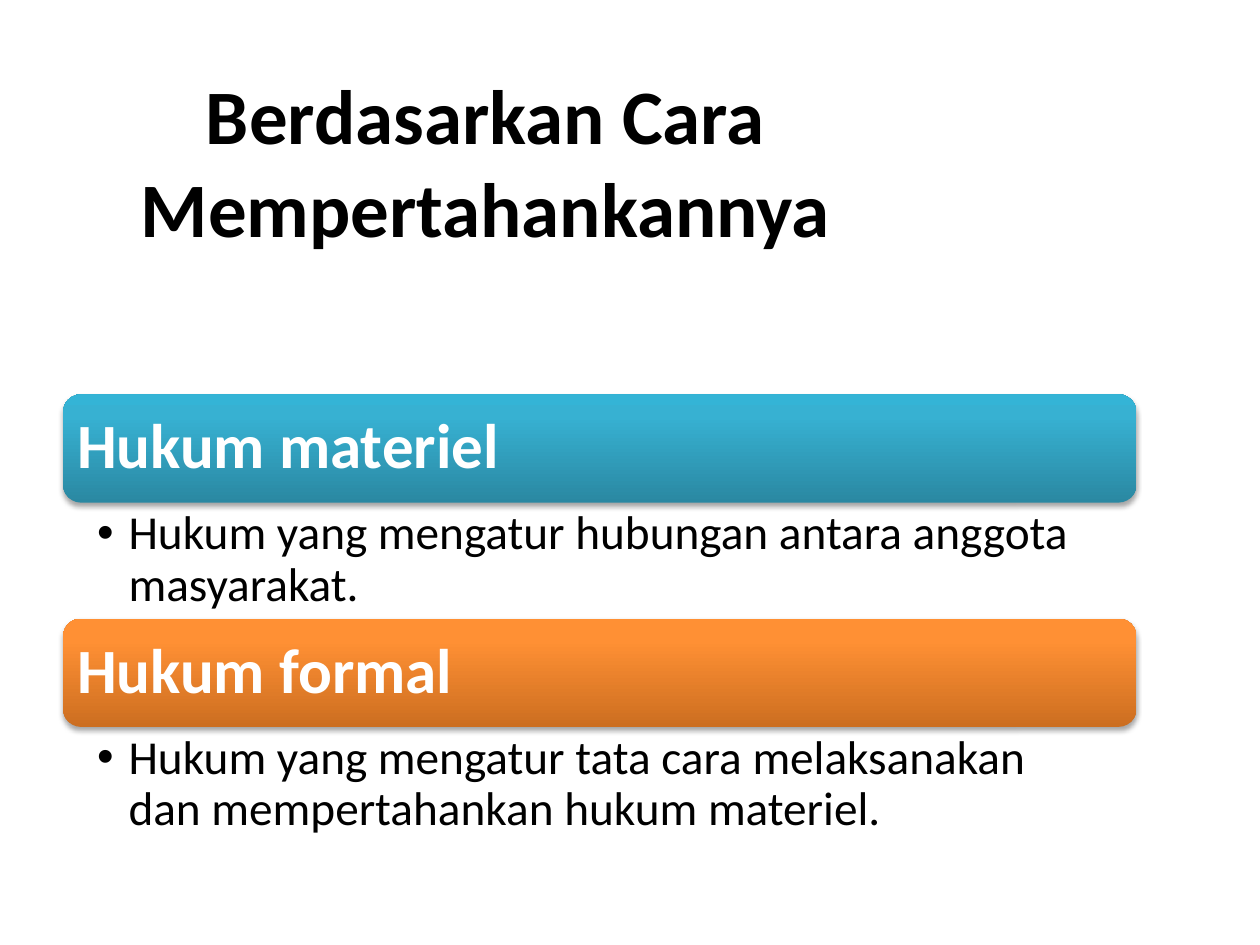
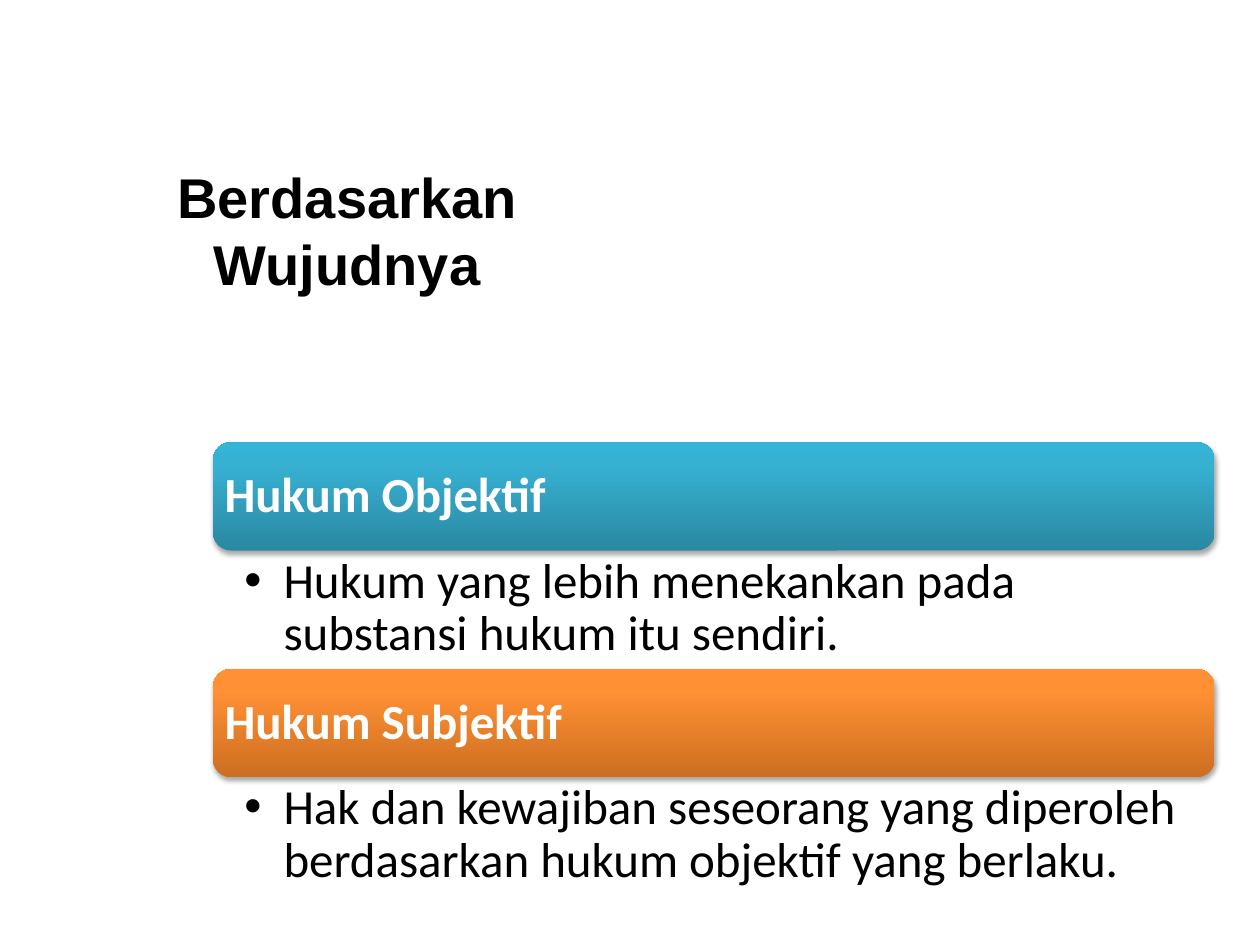
import dataclasses

import lxml.etree
import pptx
import pptx.dml.color
import pptx.enum.dml
import pptx.enum.shapes
import pptx.enum.text
import pptx.oxml.ns
import pptx.util

Inches = pptx.util.Inches
Pt = pptx.util.Pt
qn = pptx.oxml.ns.qn


@dataclasses.dataclass(frozen=True)
class Theme:
    ink: str = "000000"
    heading: str = "FFFFFF"
    shadow: str = "000000"
    # Gradient stops, from the bottom edge of a bar to its top
    teal: tuple = ((0, "2A88A2"), (80, "37B1D2"), (100, "34B4D6"))
    orange: tuple = ((0, "CC6E20"), (80, "FF9034"), (100, "FF9136"))
    font: str = "Calibri"
    alternate_font: str = "Arial"
    large_title: int = 44
    small_title: int = 32
    large_heading: int = 36
    small_heading: int = 28
    large_body: int = 28
    small_body: int = 27
    line_spacing: float = 0.9
    bar_height: float = 0.86


THEME = Theme()


@dataclasses.dataclass(frozen=True)
class ListStyle:
    """Place and type of one list of terms; lengths in inches."""
    left: float
    top: float
    width: float
    heading_size: int
    heading_inset: float
    body_size: int
    body_height: float
    body_insets: tuple
    hanging: float


def add_child(parent, tag, **attributes):
    return lxml.etree.SubElement(parent, qn(tag), attributes)


def place(shape, left, top, width, height):
    shape.left, shape.top = Inches(left), Inches(top)
    shape.width, shape.height = Inches(width), Inches(height)


def set_frame(frame, anchor, insets):
    frame.word_wrap = True
    frame.auto_size = pptx.enum.text.MSO_AUTO_SIZE.NONE
    frame.vertical_anchor = anchor
    (frame.margin_left, frame.margin_top,
     frame.margin_right, frame.margin_bottom) = map(Inches, insets)


def write(paragraph, text, size, color, bold=False, font=THEME.font):
    run = paragraph.add_run()
    run.text = text
    run.font.name = font
    run.font.size = Pt(size)
    run.font.bold = bold
    run.font.color.rgb = pptx.dml.color.RGBColor.from_string(color)


def set_title(slide, text, box, size, font):
    title = slide.shapes.title
    place(title, *box)
    set_frame(title.text_frame, pptx.enum.text.MSO_ANCHOR.MIDDLE,
              (0.1, 0.05, 0.1, 0.05))
    paragraph = title.text_frame.paragraphs[0]
    paragraph.alignment = pptx.enum.text.PP_ALIGN.CENTER
    write(paragraph, text, size, THEME.ink, bold=True, font=font)


def fill_gradient(shape, stops):
    shape.fill.gradient()
    shape.fill.gradient_angle = 90
    stop_list = shape._element.spPr.find(".//" + qn("a:gsLst"))
    stop_list.clear()
    for percent, color in stops:
        stop = add_child(stop_list, "a:gs", pos=str(percent * 1000))
        add_child(stop, "a:srgbClr", val=color)


def add_shadow(shape):
    shape.shadow.inherit = False
    effects = shape._element.spPr.find(qn("a:effectLst"))
    outer = add_child(effects, "a:outerShdw", blurRad=str(Pt(3.1)),
                      dist=str(Pt(1.8)), dir="5400000", rotWithShape="0")
    color = add_child(outer, "a:srgbClr", val=THEME.shadow)
    add_child(color, "a:alpha", val="35000")


def add_heading_bar(slide, text, top, stops, style):
    bar = slide.shapes.add_shape(
        pptx.enum.shapes.MSO_SHAPE.ROUNDED_RECTANGLE, Inches(style.left),
        Inches(top), Inches(style.width), Inches(THEME.bar_height))
    fill_gradient(bar, stops)
    bar.line.fill.background()
    add_shadow(bar)
    set_frame(bar.text_frame, pptx.enum.text.MSO_ANCHOR.MIDDLE,
              (style.heading_inset,) * 4)
    paragraph = bar.text_frame.paragraphs[0]
    paragraph.alignment = pptx.enum.text.PP_ALIGN.LEFT
    paragraph.line_spacing = THEME.line_spacing
    write(paragraph, text, style.heading_size, THEME.heading, bold=True)


def set_description(body, text, top, style):
    place(body, style.left, top, style.width, style.body_height)
    set_frame(body.text_frame, pptx.enum.text.MSO_ANCHOR.TOP, style.body_insets)
    paragraph = body.text_frame.paragraphs[0]
    paragraph.line_spacing = THEME.line_spacing
    paragraph.space_before = Pt(0)
    properties = paragraph._p.get_or_add_pPr()
    properties.set("marL", str(Inches(style.hanging)))
    properties.set("indent", str(-Inches(style.hanging)))
    add_child(properties, "a:buFont", typeface=THEME.alternate_font)
    add_child(properties, "a:buChar", char="•")
    write(paragraph, text, style.body_size, THEME.ink)


def add_terms(slide, terms, style):
    """Stack a coloured heading bar and its description for each term."""
    pitch = THEME.bar_height + style.body_height
    bodies = list(slide.placeholders)[1:]
    bar_colors = (THEME.teal, THEME.orange)
    for row, ((heading, description), body, stops) in enumerate(
            zip(terms, bodies, bar_colors)):
        top = style.top + row * pitch
        add_heading_bar(slide, heading, top, stops, style)
        set_description(body, description, top + THEME.bar_height, style)


def main():
    presentation = pptx.Presentation()
    presentation.slide_width = Inches(10)
    presentation.slide_height = Inches(7.5)
    two_content = presentation.slide_layouts[3]

    # Law by the way it is upheld
    upheld = presentation.slides.add_slide(two_content)
    set_title(upheld, "Berdasarkan Cara Mempertahankannya",
              (0.43, 0.6, 6.85, 1.34), THEME.large_title, THEME.font)
    add_terms(upheld, (
        ("Hukum materiel",
         "Hukum yang mengatur hubungan antara anggota masyarakat."),
        ("Hukum formal",
         "Hukum yang mengatur tata cara melaksanakan dan mempertahankan "
         "hukum materiel."),
    ), ListStyle(left=0.5, top=3.13, width=8.52,
                 heading_size=THEME.large_heading, heading_inset=0.07,
                 body_size=THEME.small_body, body_height=0.92,
                 body_insets=(0.27, 0.05, 0.26, 0.05), hanging=0.25))

    # Law by its form
    form = presentation.slides.add_slide(two_content)
    set_title(form, "Berdasarkan Wujudnya",
              (0.59, 0.76, 4.33, 2.13), THEME.small_title,
              THEME.alternate_font)
    add_terms(form, (
        ("Hukum Objektif",
         "Hukum yang lebih menekankan pada substansi hukum itu sendiri."),
        ("Hukum Subjektif",
         "Hak dan kewajiban seseorang yang diperoleh berdasarkan hukum "
         "objektif yang berlaku."),
    ), ListStyle(left=1.69, top=3.51, width=7.95,
                 heading_size=THEME.small_heading, heading_inset=0.05,
                 body_size=THEME.large_body, body_height=0.94,
                 body_insets=(0.25, 0.04, 0.22, 0.04), hanging=0.31))

    presentation.save("out.pptx")


if __name__ == "__main__":
    main()
